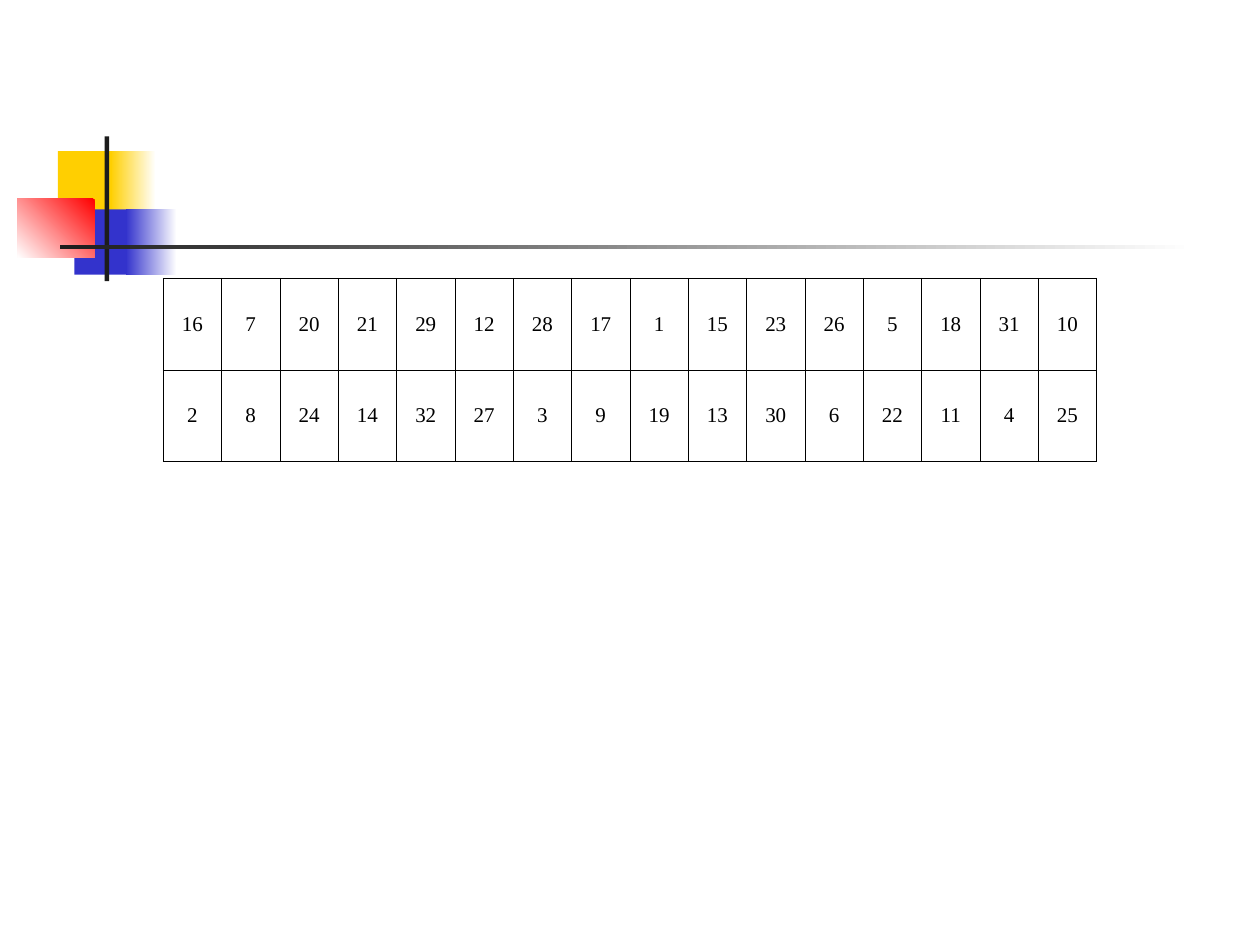
"""Build a slide with a two-row table of numbers beside a corner ornament."""
import lxml.etree
import pptx
import pptx.dml.color
import pptx.enum.shapes
import pptx.enum.text
import pptx.oxml.ns
import pptx.util

Cm = pptx.util.Cm
COLORS = {
    "white": "FFFFFF",
    "yellow": "FFCF01",
    "blue": "3333CC",
    "red": "FF0000",
    "dark": "1C1C1C",
    "black": "000000",
}


def rgb(name):
    return pptx.dml.color.RGBColor.from_string(COLORS[name])


def write(cell, text, size=12, font="Times New Roman", color="black"):
    cell.vertical_anchor = pptx.enum.text.MSO_ANCHOR.MIDDLE
    para = cell.text_frame.paragraphs[0]
    para.alignment = pptx.enum.text.PP_ALIGN.CENTER
    span = para.add_run()
    span.text = text
    span.font.size = pptx.util.Pt(size)
    span.font.name = font
    span.font.color.rgb = rgb(color)


deck = pptx.Presentation()
deck.slide_width, deck.slide_height = Cm(25.4), Cm(19.05)
page = deck.slides.add_slide(deck.slide_layouts[6])

ornament = [
    (1.17, 3.05, 1.22, 1.32, ["yellow"], 0),
    (2.23, 3.05, 0.91, 1.32, ["white", "yellow"], 180),
    (1.5, 4.22, 1.17, 1.32, ["blue"], 0),
    (2.54, 4.22, 1.02, 1.32, ["white", "blue"], 180),
    (0.35, 4.01, 1.56, 1.18, ["red", "white"], 225),
    (2.11, 2.75, 0.09, 2.92, ["dark"], 0),
    (1.22, 4.94, 22.86, 0.09, ["white", "dark"], 180),
]
for left, top, width, height, colors, angle in ornament:
    box = page.shapes.add_shape(
        pptx.enum.shapes.MSO_SHAPE.RECTANGLE, Cm(left), Cm(top), Cm(width), Cm(height))
    box.shadow.inherit = False
    box.line.fill.background()
    if len(colors) == 1:
        box.fill.solid()
        box.fill.fore_color.rgb = rgb(colors[0])
    else:
        box.fill.gradient()
        box.fill.gradient_angle = angle
        for stop, color in zip(box.fill.gradient_stops, colors):
            stop.color.rgb = rgb(color)

numbers = [
    [16, 7, 20, 21, 29, 12, 28, 17, 1, 15, 23, 26, 5, 18, 31, 10],
    [2, 8, 24, 14, 32, 27, 3, 9, 19, 13, 30, 6, 22, 11, 4, 25],
]
table = page.shapes.add_table(
    len(numbers), len(numbers[0]), Cm(3.29), Cm(5.61), Cm(18.82), Cm(3.7)).table
table.first_row = False
table.horz_banding = False
for column in table.columns:
    column.width = Cm(18.82 / len(numbers[0]))
for row, values in zip(table.rows, numbers):
    row.height = Cm(1.85)
    for cell, value in zip(row.cells, values):
        write(cell, str(value))
        properties = cell._tc.get_or_add_tcPr()
        for side in ("a:lnL", "a:lnR", "a:lnT", "a:lnB"):
            border = lxml.etree.SubElement(
                properties, pptx.oxml.ns.qn(side), w=str(pptx.util.Pt(0.45)))
            paint = lxml.etree.SubElement(border, pptx.oxml.ns.qn("a:solidFill"))
            lxml.etree.SubElement(paint, pptx.oxml.ns.qn("a:srgbClr"), val=COLORS["black"])
        cell.fill.background()

deck.save("out.pptx")
